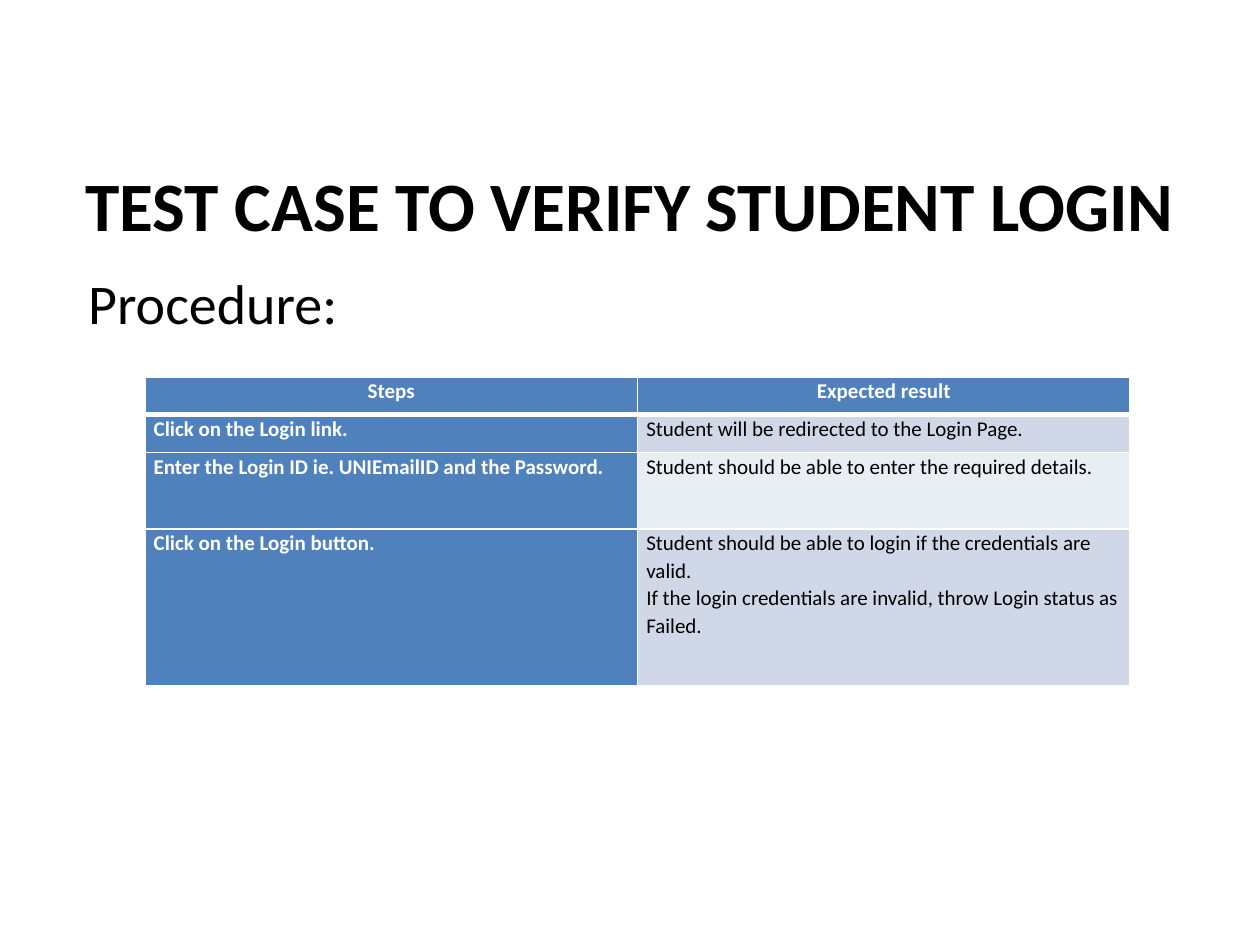
import dataclasses

import lxml.etree
import pptx
import pptx.dml.color
import pptx.enum.text
import pptx.oxml.ns
import pptx.util

FONT = "Calibri"
BLACK, WHITE, BLUE = "000000", "FFFFFF", "4F81BD"
BANDS = ("D0D8E8", "E9EDF4")
ALIGN = pptx.enum.text.PP_ALIGN
ANCHOR = pptx.enum.text.MSO_ANCHOR
SLIDE_W, SLIDE_H = pptx.util.Inches(10), pptx.util.Inches(7.5)


@dataclasses.dataclass(frozen=True)
class Box:
    """A rectangle in inches."""
    left: float
    top: float
    width: float
    height: float

    def emu(self) -> list[int]:
        return [pptx.util.Inches(v) for v in dataclasses.astuple(self)]


@dataclasses.dataclass(frozen=True)
class Step:
    action: str
    results: tuple[str, ...]
    height: float


TITLE_BOX = Box(0.5, 1.16, 9, 0.92)
BODY_BOX = Box(0.5, 2.08, 9, 4.95)
TABLE_BOX = Box(1.15, 2.99, 7.82, 2.45)
HEADER_HEIGHT = 0.3
HEADERS = ("Steps", "Expected result")
STEPS = (
    Step("Click on the Login link.",
         ("Student will be redirected to the Login Page.",), 0.3),
    Step("Enter the Login ID ie. UNIEmailID and the Password.",
         ("Student should be able to enter the required details.",), 0.61),
    Step("Click on the Login button.",
         ("Student should be able to login if the credentials are valid.",
          "If the login credentials are invalid, throw Login status as Failed."),
         1.24),
)


def rgb(value: str) -> pptx.dml.color.RGBColor:
    return pptx.dml.color.RGBColor.from_string(value)


def add_run(p, text: str, size: float, color: str, bold: bool = False) -> None:
    r = p.add_run()
    r.text = text
    r.font.name = FONT
    r.font.size = pptx.util.Pt(size)
    r.font.bold = bold
    r.font.color.rgb = rgb(color)


def place(sp, box: Box, anchor):
    """Move a placeholder and return its first paragraph."""
    sp.left, sp.top, sp.width, sp.height = box.emu()
    tf = sp.text_frame
    tf.word_wrap = True
    tf.auto_size = pptx.enum.text.MSO_AUTO_SIZE.NONE
    tf.vertical_anchor = anchor
    return tf.paragraphs[0]


def set_borders(cell, bottom: float) -> None:
    """Draw white borders, 1 pt except at the bottom."""
    tc_pr = cell._tc.get_or_add_tcPr()
    for i, (side, width) in enumerate(zip("LRTB", (1, 1, 1, bottom))):
        ln = lxml.etree.Element(pptx.oxml.ns.qn(f"a:ln{side}"),
                                w=str(pptx.util.Pt(width)))
        fill = lxml.etree.SubElement(ln, pptx.oxml.ns.qn("a:solidFill"))
        lxml.etree.SubElement(fill, pptx.oxml.ns.qn("a:srgbClr"), val=WHITE)
        tc_pr.insert(i, ln)


def fill_cell(cell, lines: tuple[str, ...], fill: str, color: str,
              bold: bool, align=ALIGN.LEFT, bottom: float = 1) -> None:
    cell.margin_left = cell.margin_right = pptx.util.Inches(0.07)
    cell.margin_top = cell.margin_bottom = 0
    cell.fill.solid()
    cell.fill.fore_color.rgb = rgb(fill)
    set_borders(cell, bottom)
    tf = cell.text_frame
    for i, line in enumerate(lines):
        p = tf.add_paragraph() if i else tf.paragraphs[0]
        p.alignment = align
        p.line_spacing = 1.07
        add_run(p, line, 12, color, bold)


def add_steps_table(s) -> None:
    table = s.shapes.add_table(len(STEPS) + 1, len(HEADERS),
                               *TABLE_BOX.emu()).table
    for column in table.columns:
        column.width = pptx.util.Inches(TABLE_BOX.width / len(HEADERS))
    heights = [HEADER_HEIGHT] + [step.height for step in STEPS]
    for row, height in zip(table.rows, heights):
        row.height = pptx.util.Inches(height)
    for col, header in enumerate(HEADERS):
        fill_cell(table.cell(0, col), (header,), BLUE, WHITE, True,
                  ALIGN.CENTER, 3)
    for i, step in enumerate(STEPS):
        fill_cell(table.cell(i + 1, 0), (step.action,), BLUE, WHITE, True)
        fill_cell(table.cell(i + 1, 1), step.results, BANDS[i % 2], BLACK, False)


def main() -> None:
    prs = pptx.Presentation()
    prs.slide_width, prs.slide_height = SLIDE_W, SLIDE_H
    s = prs.slides.add_slide(prs.slide_layouts[1])

    p = place(s.shapes.title, TITLE_BOX, ANCHOR.MIDDLE)
    p.alignment = ALIGN.CENTER
    add_run(p, "TEST CASE TO VERIFY STUDENT LOGIN", 39.6, BLACK, True)

    p = place(s.placeholders[1], BODY_BOX, ANCHOR.TOP)
    p_pr = p._p.get_or_add_pPr()
    p_pr.set("marL", str(pptx.util.Inches(0.1)))
    p_pr.set("indent", "0")
    lxml.etree.SubElement(p_pr, pptx.oxml.ns.qn("a:buNone"))
    add_run(p, "Procedure:", 32, BLACK)

    add_steps_table(s)
    prs.save("out.pptx")


if __name__ == "__main__":
    main()
